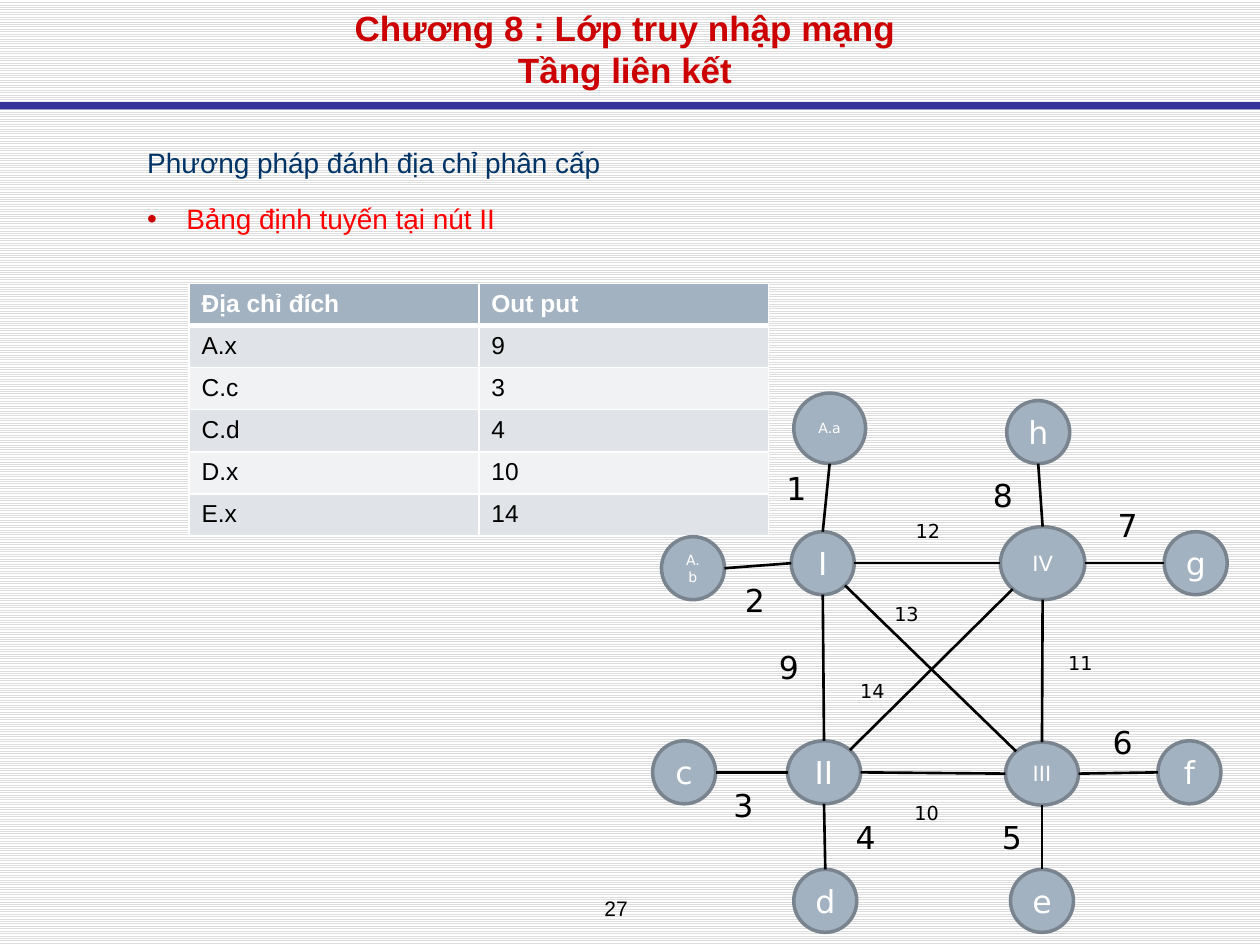
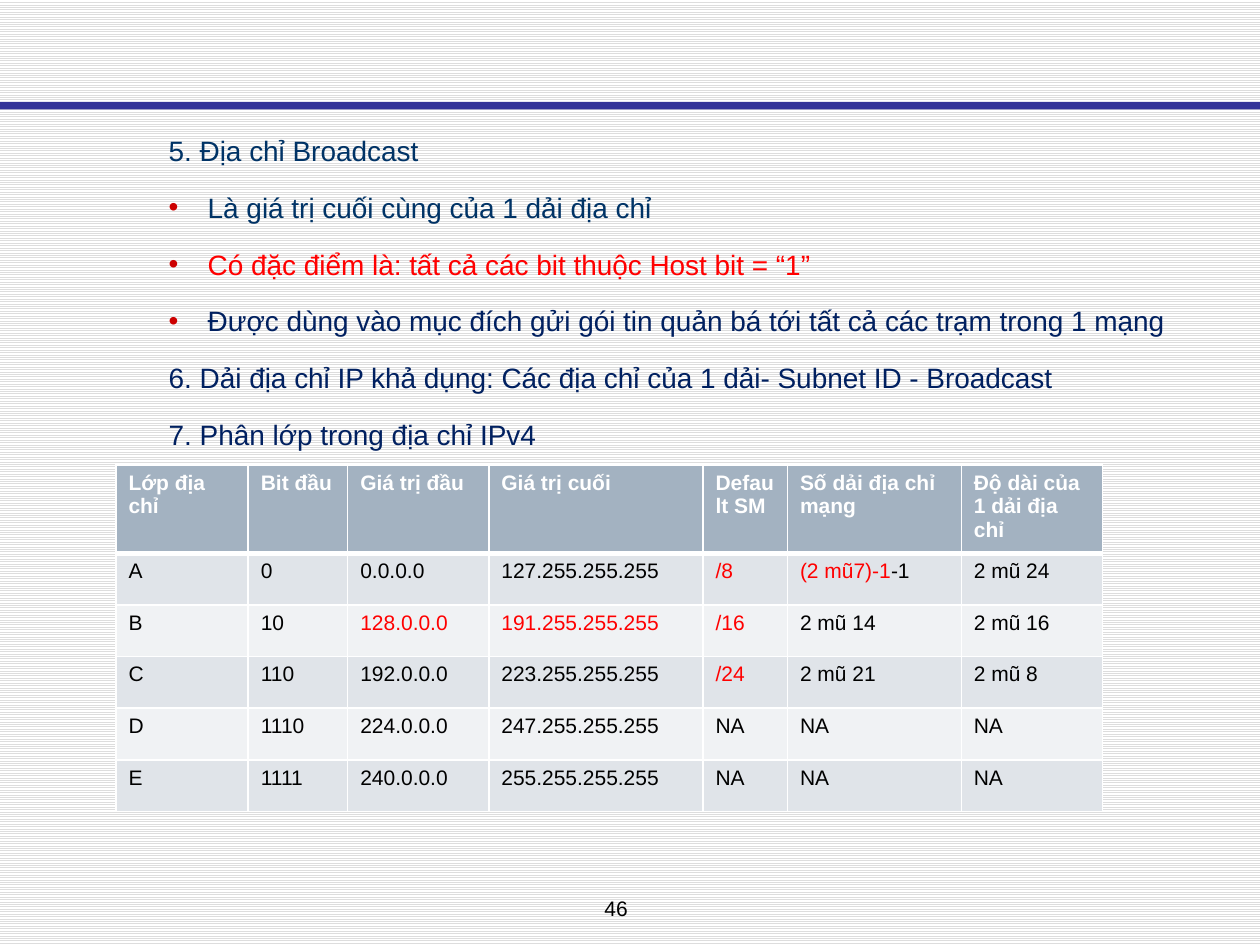
from dataclasses import dataclass
from math import hypot
from typing import NamedTuple

from lxml import etree
from pptx import Presentation
from pptx.dml.color import RGBColor
from pptx.enum.dml import MSO_PATTERN
from pptx.enum.shapes import MSO_CONNECTOR, MSO_SHAPE
from pptx.enum.text import MSO_ANCHOR, PP_ALIGN
from pptx.oxml.ns import qn
from pptx.shapes.autoshape import Shape
from pptx.slide import Slide
from pptx.table import _Cell
from pptx.text.text import TextFrame, _Paragraph
from pptx.util import Pt

CENTER = PP_ALIGN.CENTER
MIDDLE = MSO_ANCHOR.MIDDLE
ELLIPSE = MSO_SHAPE.OVAL
RECTANGLE = MSO_SHAPE.RECTANGLE
STRAIGHT = MSO_CONNECTOR.STRAIGHT
LIGHT_HORIZONTAL = MSO_PATTERN.LIGHT_HORIZONTAL

EMU_PER_PX = 9144
BODY_FONT = "Arial"
DIAGRAM_FONT = "DejaVu Sans"
COLORS = {
    "white": "FFFFFF",
    "black": "000000",
    "stripe": "DDDDDD",
    "band": "333399",
    "title": "CC0000",
    "teal": "003366",
    "navy": "002060",
    "red": "FF0000",
    "node": "A3B2C1",
    "outline": "79848F",
    "odd_row": "E0E4E9",
    "even_row": "F0F2F4",
}


class Box(NamedTuple):
    left: int
    top: int
    width: int
    height: int

    def emu(self) -> list[int]:
        return [px(length) for length in self]


class Span(NamedTuple):
    text: str
    color: str = "black"


@dataclass(frozen=True)
class Line:
    text: str
    color: str = "teal"
    bullet: bool = False


@dataclass(frozen=True)
class Node:
    name: str
    box: Box
    size: int = 18


@dataclass(frozen=True)
class Link:
    start: str
    end: str
    dx: int
    dy: int


@dataclass(frozen=True)
class Grid:
    box: Box
    columns: list[int]
    header_height: int
    size: int
    rows: list[list[str | list[Span]]]


def px(length: float) -> int:
    return round(length * EMU_PER_PX)


def rgb(color: str) -> RGBColor:
    return RGBColor.from_string(COLORS[color])


def add_run(paragraph: _Paragraph, text: str, size: int, color: str,
            font: str = BODY_FONT, bold: bool = False) -> None:
    run = paragraph.add_run()
    run.text = text
    run.font.size = Pt(size)
    run.font.name = font
    run.font.bold = bold
    run.font.color.rgb = rgb(color)


def add_text_frame(slide: Slide, box: Box) -> TextFrame:
    frame = slide.shapes.add_textbox(*box.emu()).text_frame
    frame.word_wrap = True
    return frame


def new_slide(deck: Presentation, number: str) -> Slide:
    slide = deck.slides.add_slide(deck.slide_layouts[6])
    fill = slide.background.fill
    fill.patterned()
    fill.pattern = LIGHT_HORIZONTAL
    fill.fore_color.rgb = rgb("stripe")
    fill.back_color.rgb = rgb("white")
    band = slide.shapes.add_shape(RECTANGLE, *Box(0, 81, 1000, 6).emu())
    band.shadow.inherit = False
    band.fill.solid()
    band.fill.fore_color.rgb = rgb("band")
    band.line.fill.background()
    page = add_text_frame(slide, Box(408, 706, 162, 30)).paragraphs[0]
    page.alignment = CENTER
    add_run(page, number, 12, "black")
    return slide


def add_title(slide: Slide, lines: list[str]) -> None:
    title = add_text_frame(slide, Box(50, 0, 900, 92)).paragraphs[0]
    title.alignment = CENTER
    for index, line in enumerate(lines):
        if index:
            title.add_line_break()
        add_run(title, line, 20, "title", bold=True)


def add_bullet(paragraph: _Paragraph) -> None:
    properties = paragraph._p.get_or_add_pPr()
    properties.set("marL", str(px(31)))
    properties.set("indent", str(px(-31)))
    color = etree.SubElement(properties, qn("a:buClr"))
    etree.SubElement(color, qn("a:srgbClr"), val=COLORS["title"])
    etree.SubElement(properties, qn("a:buFont"), typeface=BODY_FONT)
    etree.SubElement(properties, qn("a:buChar"), char="•")


def add_body(slide: Slide, box: Box, lines: list[Line]) -> None:
    frame = add_text_frame(slide, box)
    for index, line in enumerate(lines):
        paragraph = frame.add_paragraph() if index else frame.paragraphs[0]
        paragraph.line_spacing = 1.35
        paragraph.space_before = Pt(6.5)
        if line.bullet:
            add_bullet(paragraph)
        add_run(paragraph, line.text, 16, line.color)


def add_borders(cell: _Cell, row: int) -> None:
    properties = cell._tc.get_or_add_tcPr()
    widths = {"lnL": 1, "lnR": 1,
              "lnT": 3 if row == 1 else 1, "lnB": 3 if row == 0 else 1}
    for side, width in widths.items():
        border = etree.SubElement(properties, qn(f"a:{side}"), w=str(Pt(width)))
        fill = etree.SubElement(border, qn("a:solidFill"))
        etree.SubElement(fill, qn("a:srgbClr"), val=COLORS["white"])


def add_grid(slide: Slide, grid: Grid) -> None:
    table = slide.shapes.add_table(
        len(grid.rows), len(grid.columns), *grid.box.emu()).table
    for column, width in zip(table.columns, grid.columns):
        column.width = px(width)
    body_height = (grid.box.height - grid.header_height) / (len(grid.rows) - 1)
    for r, entries in enumerate(grid.rows):
        header = r == 0
        table.rows[r].height = px(grid.header_height if header else body_height)
        shade = "node" if header else "odd_row" if r % 2 else "even_row"
        for c, entry in enumerate(entries):
            cell = table.cell(r, c)
            add_borders(cell, r)
            cell.fill.solid()
            cell.fill.fore_color.rgb = rgb(shade)
            spans = [Span(entry)] if isinstance(entry, str) else entry
            for span in spans:
                add_run(cell.text_frame.paragraphs[0], span.text, grid.size,
                        "white" if header else span.color, bold=header)


def add_ellipse(slide: Slide, node: Node, color: str) -> Shape:
    ellipse = slide.shapes.add_shape(ELLIPSE, *node.box.emu())
    ellipse.shadow.inherit = False
    ellipse.text_frame.vertical_anchor = MIDDLE
    paragraph = ellipse.text_frame.paragraphs[0]
    paragraph.alignment = CENTER
    add_run(paragraph, node.name, node.size, color, DIAGRAM_FONT)
    return ellipse


def add_node(slide: Slide, node: Node) -> None:
    ellipse = add_ellipse(slide, node, "white")
    ellipse.fill.solid()
    ellipse.fill.fore_color.rgb = rgb("node")
    ellipse.line.color.rgb = rgb("outline")
    ellipse.line.width = Pt(2)


def add_link_number(slide: Slide, number: Node) -> None:
    ellipse = add_ellipse(slide, number, "black")
    ellipse.fill.background()
    ellipse.line.fill.background()


def rim_point(box: Box, dx: int, dy: int) -> tuple[int, int]:
    reach = 2 * hypot(dx, dy)
    return (px(box.left + box.width / 2 + dx * box.width / reach),
            px(box.top + box.height / 2 + dy * box.height / reach))


def add_link(slide: Slide, link: Link, boxes: dict[str, Box]) -> None:
    start = rim_point(boxes[link.start], link.dx, link.dy)
    end = rim_point(boxes[link.end], -link.dx, -link.dy)
    connector = slide.shapes.add_connector(STRAIGHT, *start, *end)
    connector.line.color.rgb = rgb("black")
    connector.line.width = Pt(1.5)
    etree.SubElement(connector._element.spPr, qn("a:effectLst"))


def red(text: str) -> list[Span]:
    return [Span(text, "red")]


NODES = [
    Node("I", Box(628, 422, 50, 50)), Node("II", Box(625, 588, 58, 50)),
    Node("III", Box(798, 589, 58, 50), 12), Node("IV", Box(794, 418, 67, 58), 12),
    Node("A.a", Box(630, 312, 57, 56), 8), Node("A.b", Box(525, 426, 50, 50), 8),
    Node("c", Box(518, 588, 50, 50)), Node("d", Box(630, 690, 50, 50)),
    Node("e", Box(802, 690, 50, 50)), Node("f", Box(919, 588, 50, 50)),
    Node("g", Box(924, 422, 50, 50)), Node("h", Box(799, 318, 50, 50)),
]
LINKS = [
    Link("I", "IV", 1, 0), Link("I", "II", 0, 1), Link("II", "III", 1, 0),
    Link("IV", "III", 0, 1), Link("I", "III", 1, 1), Link("II", "IV", 1, -1),
    Link("A.a", "I", 0, 1), Link("A.b", "I", 1, 0), Link("c", "II", 1, 0),
    Link("II", "d", 0, 1), Link("III", "e", 0, 1), Link("III", "f", 1, 0),
    Link("IV", "g", 1, 0), Link("h", "IV", 0, 1),
]
OUTER_LINK_CORNERS = [(607, 362), (574, 451), (565, 614), (662, 639), (778, 639),
                      (866, 564), (870, 392), (771, 368), (601, 504)]
INNER_LINK_CORNERS = [(703, 621), (825, 502), (704, 397), (687, 463), (660, 524)]
LINK_NUMBERS = [
    Node(str(number), Box(*corner, 50, 50))
    for number, corner in enumerate(OUTER_LINK_CORNERS, 1)
] + [
    Node(str(number), Box(*corner, 65, 48), 11)
    for number, corner in enumerate(INNER_LINK_CORNERS, 10)
]
ROUTING = Grid(Box(150, 225, 460, 200), [230, 230], 33, 14, [
    ["Địa chỉ đích", "Out put"],
    ["A.x", "9"], ["C.c", "3"], ["C.d", "4"], ["D.x", "10"], ["E.x", "14"],
])
ADDRESS_CLASSES = Grid(
    Box(92, 369, 783, 273), [105, 79, 112, 170, 67, 138, 112], 68, 12, [
        ["Lớp địa chỉ", "Bit đầu", "Giá trị đầu", "Giá trị cuối", "Default SM",
         "Số dải địa chỉ mạng", "Độ dài của 1 dải địa chỉ"],
        ["A", "0", "0.0.0.0", "127.255.255.255", red("/8"),
         [*red("(2 mũ7)-1"), Span("-1")], "2 mũ 24"],
        ["B", "10", red("128.0.0.0"), red("191.255.255.255"), red("/16"),
         "2 mũ 14", "2 mũ 16"],
        ["C", "110", "192.0.0.0", "223.255.255.255", red("/24"),
         "2 mũ 21", "2 mũ 8"],
        ["D", "1110", "224.0.0.0", "247.255.255.255", "NA", "NA", "NA"],
        ["E", "1111", "240.0.0.0", "255.255.255.255", "NA", "NA", "NA"],
    ])


def build_routing_slide(deck: Presentation) -> None:
    slide = new_slide(deck, "27")
    add_title(slide, ["Chương 8 : Lớp truy nhập mạng ", "Tầng liên kết "])
    add_body(slide, Box(107, 101, 851, 124), [
        Line("Phương pháp đánh địa chỉ phân cấp"),
        Line("Bảng định tuyến tại nút II", "red", True),
    ])
    add_grid(slide, ROUTING)
    boxes = {node.name: node.box for node in NODES}
    for node in NODES:
        add_node(slide, node)
    for link in LINKS:
        add_link(slide, link, boxes)
    for number in LINK_NUMBERS:
        add_link_number(slide, number)


def build_address_slide(deck: Presentation) -> None:
    slide = new_slide(deck, "46")
    add_body(slide, Box(124, 92, 851, 270), [
        Line("5. Địa chỉ Broadcast"),
        Line("Là giá trị cuối cùng của 1 dải địa chỉ", bullet=True),
        Line("Có đặc điểm là: tất cả các bit thuộc Host bit = “1”", "red", True),
        Line("Được dùng vào mục đích gửi gói tin quản bá tới tất cả các trạm "
             "trong 1 mạng", "navy", True),
        Line("6. Dải địa chỉ IP khả dụng: Các địa chỉ của 1 dải- Subnet ID - "
             "Broadcast", "navy"),
        Line("7. Phân lớp trong địa chỉ IPv4", "navy"),
    ])
    add_grid(slide, ADDRESS_CLASSES)


def main() -> None:
    deck = Presentation()
    deck.slide_width, deck.slide_height = px(1000), px(750)
    build_routing_slide(deck)
    build_address_slide(deck)
    deck.save("out.pptx")


if __name__ == "__main__":
    main()
